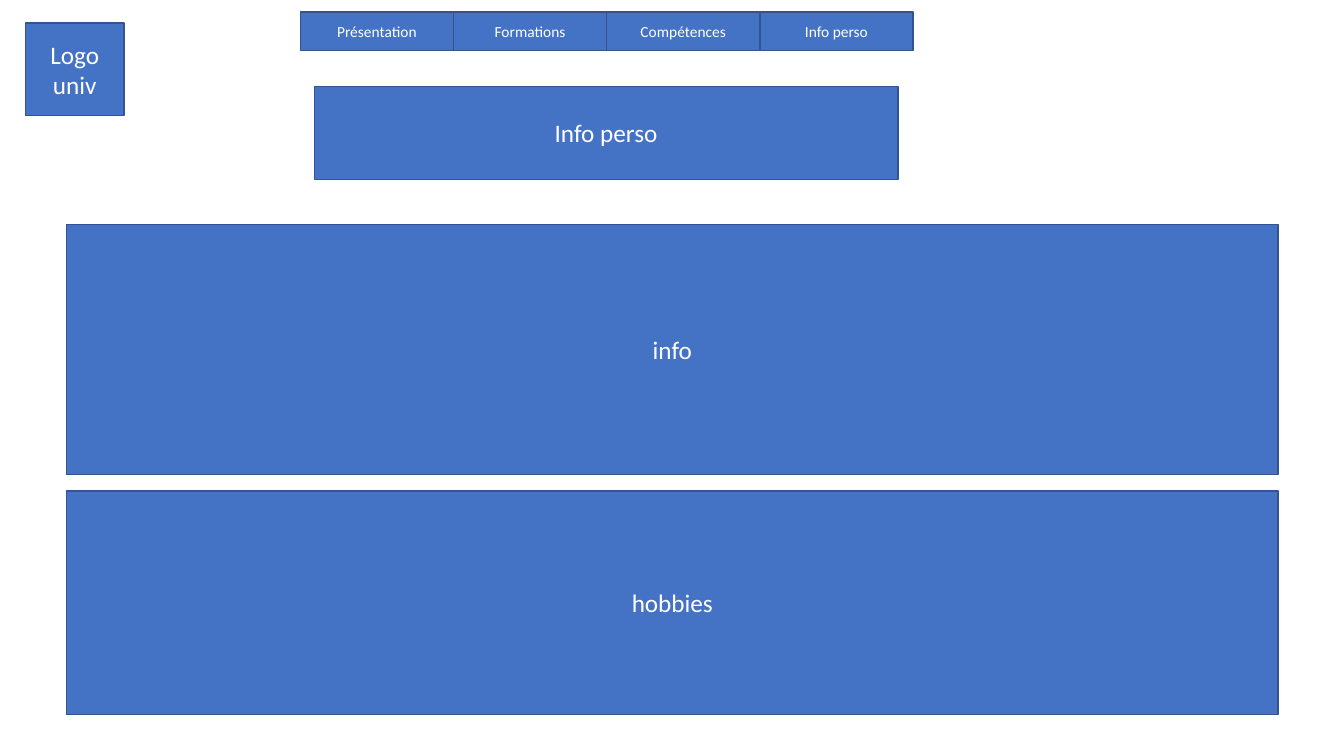
import dataclasses

import pptx
import pptx.dml.color
import pptx.enum.shapes
import pptx.enum.text
import pptx.util

Cm = pptx.util.Cm
Pt = pptx.util.Pt
RGBColor = pptx.dml.color.RGBColor


@dataclasses.dataclass(frozen=True)
class Theme:
    font: str = "Calibri"
    fill: RGBColor = RGBColor(0x44, 0x72, 0xC4)
    outline: RGBColor = RGBColor(0x32, 0x54, 0x91)
    text: RGBColor = RGBColor(0xFF, 0xFF, 0xFF)
    outline_width: float = 1
    menu_size: int = 11
    block_size: int = 18


@dataclasses.dataclass(frozen=True)
class Box:
    """Region of the slide, in centimetres."""
    left: float
    top: float
    width: float
    height: float


THEME = Theme()


def add_block(slide, box, label, size=THEME.block_size):
    """Draw one outlined rectangle with a centred label."""
    shape = slide.shapes.add_shape(
        pptx.enum.shapes.MSO_SHAPE.RECTANGLE,
        Cm(box.left), Cm(box.top), Cm(box.width), Cm(box.height))
    shape.shadow.inherit = False
    shape.fill.solid()
    shape.fill.fore_color.rgb = THEME.fill
    shape.line.color.rgb = THEME.outline
    shape.line.width = Pt(THEME.outline_width)

    text_frame = shape.text_frame
    text_frame.word_wrap = True
    text_frame.vertical_anchor = pptx.enum.text.MSO_ANCHOR.MIDDLE
    paragraph = text_frame.paragraphs[0]
    paragraph.alignment = pptx.enum.text.PP_ALIGN.CENTER
    run = paragraph.add_run()
    run.text = label
    run.font.name = THEME.font
    run.font.size = Pt(size)
    run.font.color.rgb = THEME.text


def add_menu(slide, box, labels):
    """Split the box into equal menu entries."""
    width = box.width / len(labels)
    for index, label in enumerate(labels):
        entry = Box(box.left + index * width, box.top, width, box.height)
        add_block(slide, entry, label, THEME.menu_size)


def add_sections(slide, box, sections, gap):
    """Stack sections of the given heights at the box's full width."""
    top = box.top
    for label, height in sections:
        add_block(slide, Box(box.left, top, box.width, height), label)
        top += height + gap


def main():
    presentation = pptx.Presentation()
    presentation.slide_width = Cm(33.87)
    presentation.slide_height = Cm(19.05)
    slide = presentation.slides.add_slide(presentation.slide_layouts[6])

    # Header: page title, menu and logo placeholder
    add_block(slide, Box(7.92, 2.18, 14.71, 2.34), "Info perso")
    add_menu(slide, Box(7.57, 0.3, 15.44, 0.97),
             ["Présentation", "Formations", "Compétences", "Info perso"])
    add_block(slide, Box(0.64, 0.58, 2.49, 2.34), "Logo univ")

    # Body: stacked content sections
    add_sections(slide, Box(1.68, 5.66, 30.53, 12.35),
                 [("info", 6.3), ("hobbies", 5.64)], gap=0.41)

    presentation.save("out.pptx")


if __name__ == "__main__":
    main()
